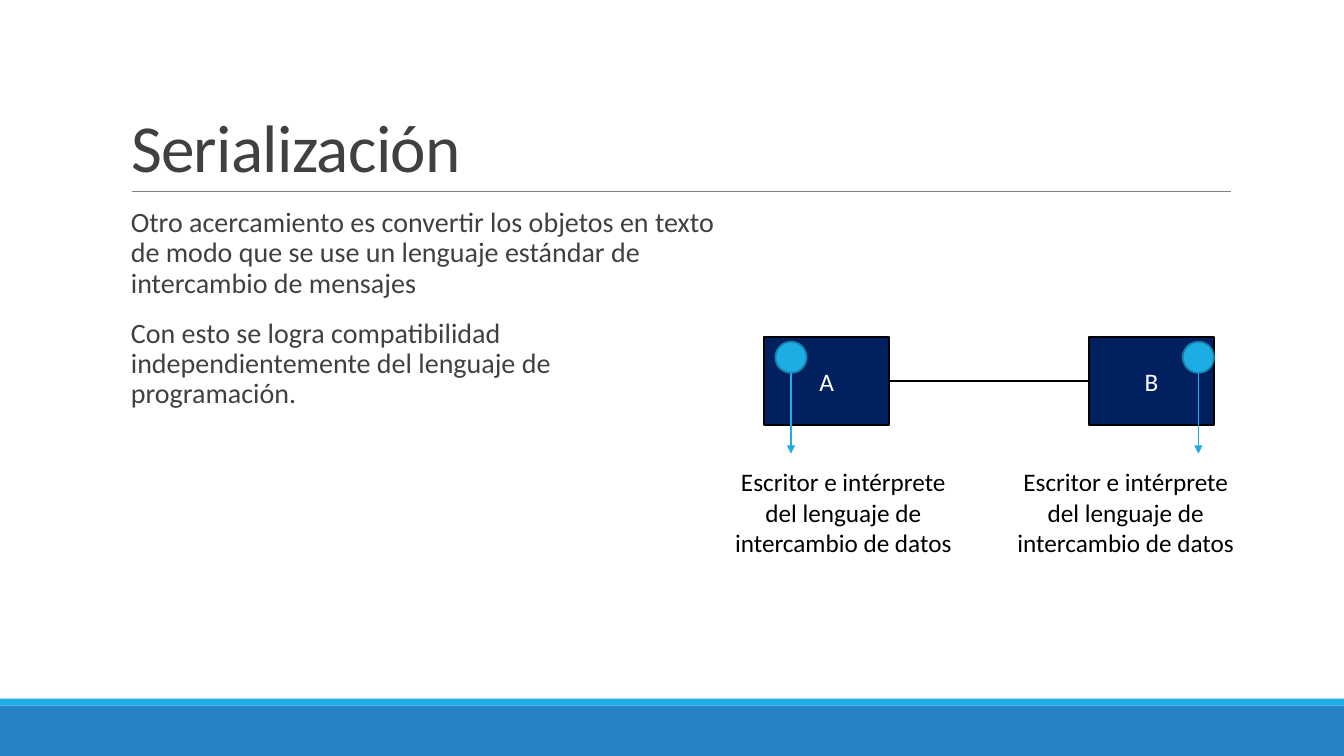
from dataclasses import dataclass

from lxml import etree
from pptx import Presentation
from pptx.dml.color import RGBColor
from pptx.enum.shapes import MSO_CONNECTOR, MSO_SHAPE
from pptx.enum.text import MSO_ANCHOR, MSO_AUTO_SIZE, PP_ALIGN
from pptx.oxml.ns import qn
from pptx.util import Inches, Pt

RECTANGLE, OVAL = MSO_SHAPE.RECTANGLE, MSO_SHAPE.OVAL
STRAIGHT = MSO_CONNECTOR.STRAIGHT
LEFT, CENTER = PP_ALIGN.LEFT, PP_ALIGN.CENTER
TOP, MIDDLE, BOTTOM = MSO_ANCHOR.TOP, MSO_ANCHOR.MIDDLE, MSO_ANCHOR.BOTTOM
NO_AUTOFIT = MSO_AUTO_SIZE.NONE
WIDTH, HEIGHT = 13.33, 7.5


@dataclass(frozen=True)
class Theme:
    """Colours, font and type sizes of the slide."""
    font: str = "Calibri"
    accent: str = "1CADE4"
    accent_edge: str = "1580A9"
    footer: str = "2683C6"
    node: str = "002060"
    rule: str = "808080"
    gray_text: str = "404040"
    black: str = "000000"
    white: str = "FFFFFF"
    title_size: int = 48
    body_size: int = 20
    label_size: int = 18


THEME = Theme()


def place(left, top, right, bottom):
    """Turn percentages of the slide's width and height into lengths."""
    return [Inches(share * side / 100) for share, side in
            zip((left, top, right, bottom), (WIDTH, HEIGHT, WIDTH, HEIGHT))]


def write(shape, text, size, color, alignment, anchor):
    """Fill a shape with text, one paragraph a line, and format it."""
    frame = shape.text_frame
    frame.text = text
    frame.word_wrap = True
    frame.auto_size = NO_AUTOFIT
    frame.vertical_anchor = anchor
    for paragraph in frame.paragraphs:
        paragraph.alignment = alignment
        font = paragraph.runs[0].font
        font.name, font.size = THEME.font, Pt(size)
        font.color.rgb = RGBColor.from_string(color)
    return frame


presentation = Presentation()
presentation.slide_width = Inches(WIDTH)
presentation.slide_height = Inches(HEIGHT)
slide = presentation.slides.add_slide(presentation.slide_layouts[5])
shapes = slide.shapes

# Title and body
title = shapes.title
title.left, title.top, title.width, title.height = place(9, 4.13, 82.52, 21.2)
title_frame = write(title, "Serialización", THEME.title_size,
                    THEME.gray_text, LEFT, BOTTOM)
title_frame.paragraphs[0].line_spacing = 0.85
title_frame.paragraphs[0].runs[0].font._element.set("spc", "-50")

body = shapes.add_textbox(*place(9, 26.93, 44.71, 58.67))
body_frame = write(
    body,
    "Otro acercamiento es convertir los objetos en texto de modo que se use "
    "un lenguaje estándar de intercambio de mensajes\n"
    "Con esto se logra compatibilidad independientemente del lenguaje de "
    "programación.",
    THEME.body_size, THEME.gray_text, LEFT, TOP)
body_frame.margin_right = 0
for paragraph in body_frame.paragraphs:
    paragraph.line_spacing = 0.9
    paragraph.space_before, paragraph.space_after = Pt(12), Pt(2)

# Footer bands, then for each node its box, interpreter dot and caption
blocks = [
    (RECTANGLE, (0, 93.33, 100, 6.67), THEME.footer, None, ""),
    (RECTANGLE, (0, 92.4, 100, 0.93), THEME.accent, None, ""),
]
lines = [
    ((9.83, 25.33, 91.6, 25.33), THEME.rule, 0.5, False),
    ((66.17, 50.4, 81.02, 50.4), THEME.black, 1, False),
]
nodes = [("A", 56.86, 57.69, 53.71), ("B", 81.02, 88, 74.72)]
for name, box_left, dot_left, caption_left in nodes:
    blocks.append((RECTANGLE, (box_left, 44.53, 9.3, 11.73),
                   THEME.node, THEME.black, name))
    blocks.append((OVAL, (dot_left, 45.2, 2.33, 4.13),
                   THEME.accent, THEME.accent_edge, ""))
    dot_center = dot_left + 2.33 / 2
    lines.append(((dot_center, 49.33, dot_center, 60), THEME.accent, 1, True))
    caption = shapes.add_textbox(*place(caption_left, 61.07, 18.08, 13.47))
    write(caption, "Escritor e intérprete del lenguaje de intercambio de datos",
          THEME.label_size, THEME.black, CENTER, TOP)

for preset, box, fill, outline, label in blocks:
    block = shapes.add_shape(preset, *place(*box))
    block.shadow.inherit = False
    block.fill.solid()
    block.fill.fore_color.rgb = RGBColor.from_string(fill)
    if outline:
        block.line.color.rgb = RGBColor.from_string(outline)
        block.line.width = Pt(1.25)
    else:
        block.line.fill.background()
    if label:
        write(block, label, THEME.label_size, THEME.white, CENTER, MIDDLE)

for ends, color, weight, has_arrow in lines:
    line = shapes.add_connector(STRAIGHT, *place(*ends))
    line.line.color.rgb = RGBColor.from_string(color)
    line.line.width = Pt(weight)
    if has_arrow:
        etree.SubElement(line.line._get_or_add_ln(), qn("a:tailEnd"),
                         type="triangle")
    etree.SubElement(line._element.spPr, qn("a:effectLst"))

presentation.save("out.pptx")
